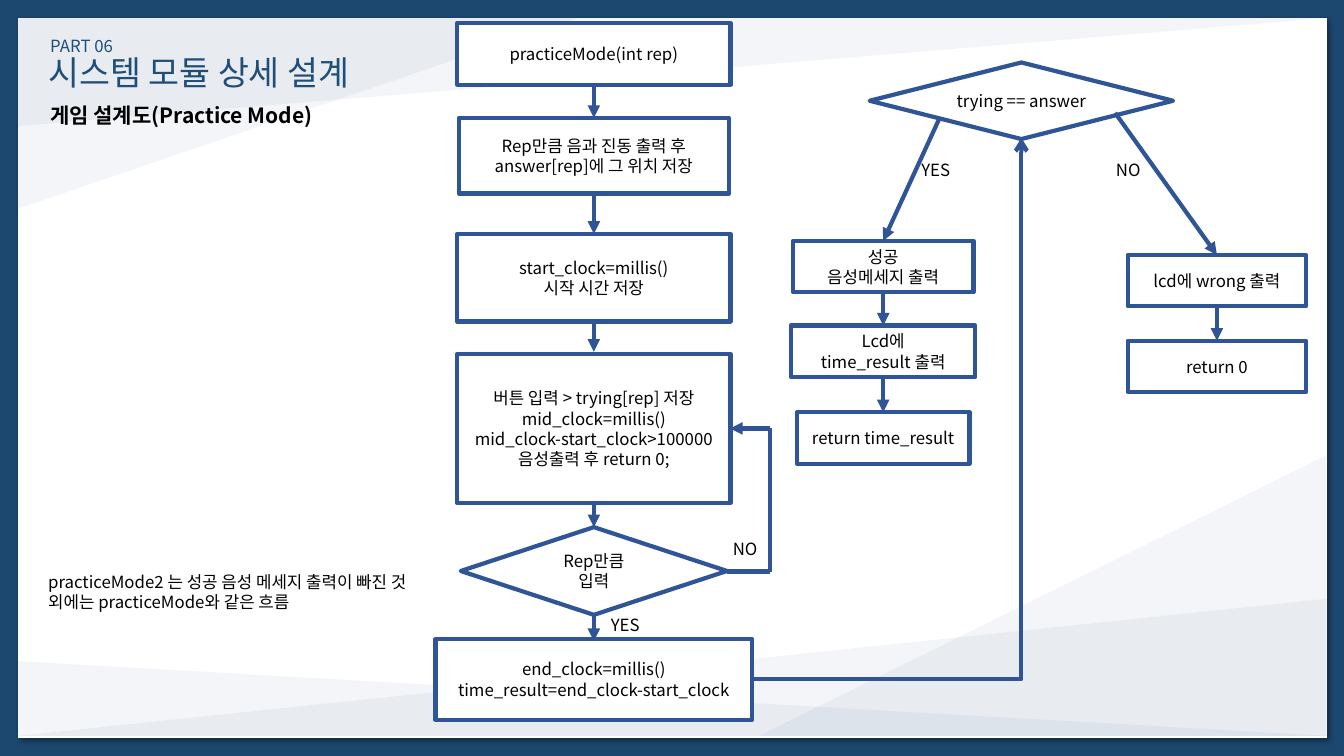
from lxml.etree import SubElement
from pptx import Presentation
from pptx.dml.color import RGBColor
from pptx.enum.shapes import MSO_CONNECTOR as CONNECTOR, MSO_SHAPE as SHAPE
from pptx.enum.text import MSO_ANCHOR as ANCHOR, MSO_AUTO_SIZE as AUTO_SIZE, PP_ALIGN as ALIGN
from pptx.oxml.ns import qn
from pptx.util import Inches, Pt

FONT = "Noto Sans CJK KR"
NAVY, BLUE, BLACK, WHITE = "1F4E79", "2F5597", "000000", "FFFFFF"
LINE_WIDTH = 3
MAIN_X, SUCCESS_X, FAIL_X, ANSWER_X = 5.89, 8.76, 12.07, 10.13

# left, top, width, height, rotation, flipped
BACKDROP_TRIANGLES = [
    (0.18, 5.94, 12.98, 1.36, 0, True),
    (7.53, 4.52, 5.62, 2.78, 0, True),
    (0.18, 0.18, 12.98, 1.07, 180, True),
    (0.18, 0.18, 5.54, 1.89, 180, True),
    (0.18, 6.56, 12.98, 0.74, 0, False),
]

# centre x, top, width, height, text
STEPS = [
    (MAIN_X, 0.23, 2.71, 0.61, "practiceMode(int rep)"),
    (MAIN_X, 1.17, 2.68, 0.75, "Rep만큼 음과 진동 출력 후\nanswer[rep]에 그 위치 저장"),
    (MAIN_X, 2.32, 2.71, 0.87, "start_clock=millis()\n시작 시간 저장"),
    (MAIN_X, 3.51, 2.71, 1.48,
     "버튼 입력 > trying[rep] 저장\nmid_clock=millis()\n"
     "mid_clock-start_clock>100000\n음성출력 후 return 0;"),
    (MAIN_X, 6.34, 3.14, 0.8, "end_clock=millis()\ntime_result=end_clock-start_clock"),
    (SUCCESS_X, 2.39, 1.79, 0.51, "성공\n음성메세지 출력"),
    (SUCCESS_X, 3.23, 1.83, 0.51, "Lcd에\ntime_result 출력"),
    (SUCCESS_X, 4.09, 1.71, 0.51, "return time_result"),
    (FAIL_X, 2.53, 1.77, 0.51, "lcd에 wrong 출력"),
    (FAIL_X, 3.38, 1.77, 0.51, "return 0"),
]
DECISIONS = [
    (MAIN_X, 5.23, 2.64, 0.87, "Rep만큼\n입력"),
    (ANSWER_X, 0.62, 3.01, 0.76, "trying == answer"),
]

# centre x, start y, end y
DOWN_ARROWS = [
    (MAIN_X, 0.83, 1.17), (MAIN_X, 1.92, 2.32), (MAIN_X, 3.2, 3.49),
    (MAIN_X, 4.99, 5.23), (MAIN_X, 6.11, 6.36),
    (SUCCESS_X, 2.9, 3.23), (SUCCESS_X, 3.74, 4.09), (FAIL_X, 3.04, 3.38),
]
BRANCH_LABELS = [
    (7.17, 5.3, "NO"), (5.96, 6.05, "YES"), (9.04, 1.54, "YES"), (10.97, 1.54, "NO"),
]


def rgb(colour):
    return RGBColor.from_string(colour)


def write(frame, text, size=12, colour=BLACK, bold=False, align=ALIGN.LEFT):
    frame.word_wrap = True
    frame.text = text
    for paragraph in frame.paragraphs:
        paragraph.alignment = align
        for run in paragraph.runs:
            font = run.font
            font.name, font.size, font.bold = FONT, Pt(size), bold
            font.color.rgb = rgb(colour)
            SubElement(font._element, qn("a:ea"), typeface=FONT)


def add_filled(slide, preset, left, top, width, height, colour):
    shape = slide.shapes.add_shape(
        preset, Inches(left), Inches(top), Inches(width), Inches(height))
    shape.shadow.inherit = False
    shape.fill.solid()
    shape.fill.fore_color.rgb = rgb(colour)
    shape.line.fill.background()
    return shape


def set_alpha(parent, percent):
    colour = next(parent.iter(qn("a:srgbClr")))
    SubElement(colour, qn("a:alpha"), val=str(percent * 1000))


def add_backdrop(slide):
    slide.background.fill.solid()
    slide.background.fill.fore_color.rgb = rgb("1C476E")
    panel = add_filled(slide, SHAPE.RECTANGLE, 0.18, 0.18, 12.98, 7.14, WHITE)
    effects = panel._element.spPr.find(qn("a:effectLst"))
    shadow = SubElement(effects, qn("a:outerShdw"), blurRad=str(Pt(4)), dist=str(Pt(3)),
                        dir=str(45 * 60000), algn="tl", rotWithShape="0")
    SubElement(shadow, qn("a:srgbClr"), val=BLACK)
    set_alpha(shadow, 40)
    for *box, rotation, flipped in BACKDROP_TRIANGLES:
        triangle = add_filled(slide, SHAPE.RIGHT_TRIANGLE, *box, NAVY)
        set_alpha(triangle._element.spPr, 5)
        triangle.rotation = rotation
        if flipped:
            triangle._element.spPr.xfrm.set("flipH", "1")


def add_title(slide, text):
    title = slide.shapes.title
    slide.shapes._spTree.append(title._element)  # bring in front of the backdrop
    title.left, title.top = Inches(0.38), Inches(0.46)
    title.width, title.height = Inches(4.04), Inches(0.5)
    title.text_frame.auto_size = AUTO_SIZE.NONE
    title.text_frame.vertical_anchor = ANCHOR.MIDDLE
    write(title.text_frame, text, 24, NAVY)


def add_label(slide, left, top, width, height, text, **style):
    label = slide.shapes.add_textbox(
        Inches(left), Inches(top), Inches(width), Inches(height))
    write(label.text_frame, text, **style)


def add_node(slide, preset, centre, top, width, height, text):
    node = add_filled(slide, preset, centre - width / 2, top, width, height, WHITE)
    node.line.color.rgb = rgb(BLUE)
    node.line.width = Pt(LINE_WIDTH)
    node.text_frame.vertical_anchor = ANCHOR.MIDDLE
    write(node.text_frame, text, align=ALIGN.CENTER)


def add_link(slide, start, end, head="triangle", kind=CONNECTOR.STRAIGHT):
    link = slide.shapes.add_connector(kind, *map(Inches, start + end))
    link.line.color.rgb = rgb(BLUE)
    link.line.width = Pt(LINE_WIDTH)
    if head:
        SubElement(link.line._get_or_add_ln(), qn("a:tailEnd"), type=head)
    SubElement(link._element.spPr, qn("a:effectLst"))
    return link


def add_links(slide):
    for x, start, end in DOWN_ARROWS:
        add_link(slide, (x, start), (x, end))
    add_link(slide, (9.32, 1.17), (SUCCESS_X, 2.39))
    add_link(slide, (11.06, 1.12), (FAIL_X, 2.53))

    retry_x = 7.64
    add_link(slide, (7.21, 5.67), (retry_x, 5.67), head=None)
    add_link(slide, (retry_x, 5.67), (retry_x, 4.25), head=None)
    add_link(slide, (retry_x, 4.25), (7.24, 4.25))

    to_answer = add_link(slide, (7.45, 6.74), (ANSWER_X, 1.37), "arrow", CONNECTOR.ELBOW)
    to_answer._element.spPr.find(qn("a:prstGeom")).set("prst", "bentConnector2")


def main():
    deck = Presentation()
    deck.slide_width, deck.slide_height = Inches(13.33), Inches(7.5)
    slide = deck.slides.add_slide(deck.slide_layouts.get_by_name("Title Only"))
    add_backdrop(slide)
    add_title(slide, "시스템 모듈 상세 설계")
    add_label(slide, 0.4, 0.31, 0.9, 0.3, "PART 06", colour=NAVY)
    add_label(slide, 0.4, 0.97, 2.94, 0.35, "게임 설계도(Practice Mode)", size=15, bold=True)
    for step in STEPS:
        add_node(slide, SHAPE.RECTANGLE, *step)
    for decision in DECISIONS:
        add_node(slide, SHAPE.FLOWCHART_DECISION, *decision)
    add_links(slide)
    for left, top, text in BRANCH_LABELS:
        add_label(slide, left, top, 0.53, 0.3, text)
    add_label(slide, 0.38, 5.62, 3.94, 0.5,
              "practiceMode2 는 성공 음성 메세지 출력이 빠진 것 외에는 practiceMode와 같은 흐름")
    deck.save("out.pptx")


if __name__ == "__main__":
    main()
